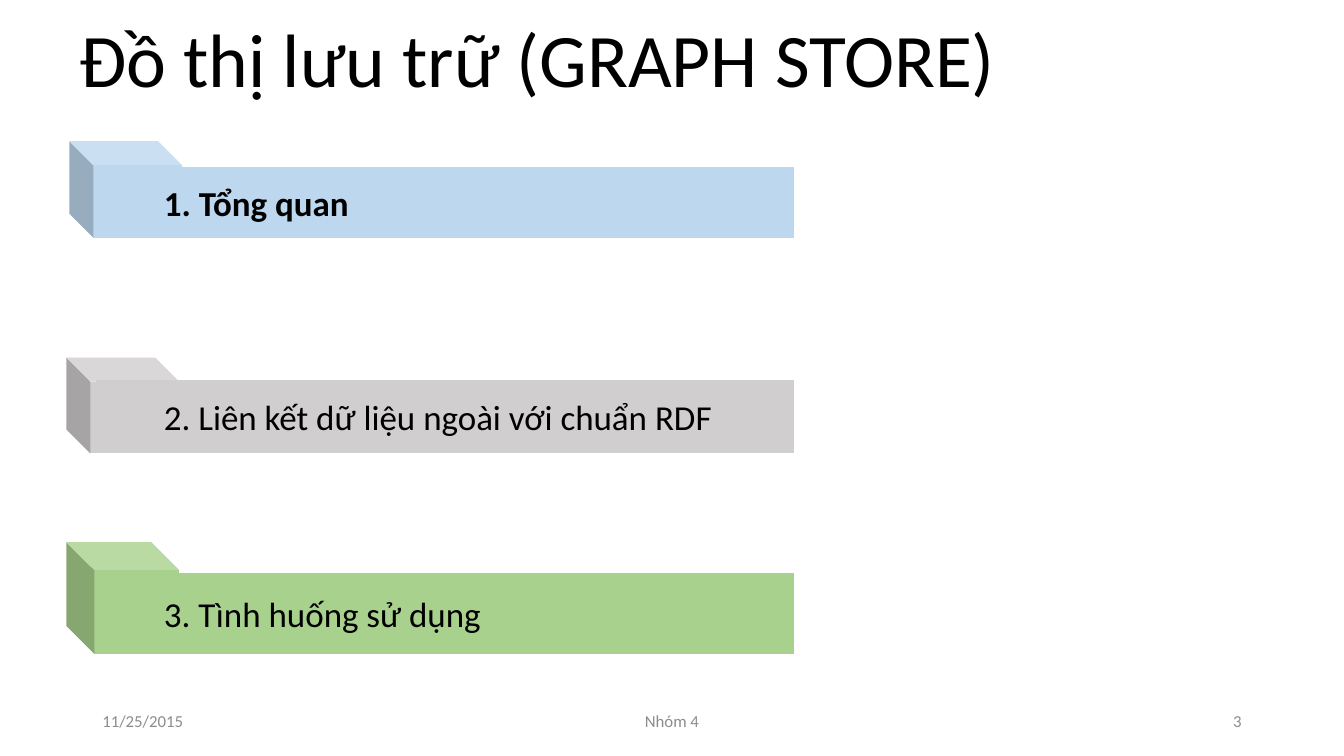
from dataclasses import dataclass

from pptx import Presentation
from pptx.dml.color import RGBColor
from pptx.enum.shapes import MSO_SHAPE as Preset
from pptx.enum.text import MSO_ANCHOR as Anchor, PP_ALIGN as Align
from pptx.util import Pt


@dataclass(frozen=True)
class Theme:
    font: str = "Calibri"
    text: str = "000000"
    footer: str = "8C8C8C"
    blue: str = "BDD7EE"
    gray: str = "D0CECE"
    green: str = "A9D18E"
    title_size: float = 54
    item_size: float = 25
    footer_size: float = 12


THEME = Theme()
BAR_LEFT, BAR_WIDTH = 68.4, 499
CUBE_WIDTH = 80.6


def write_text(shape, text, size, color, align=Align.LEFT, anchor=Anchor.MIDDLE, bold=False):
    frame = shape.text_frame
    frame.word_wrap = True
    frame.vertical_anchor = anchor
    paragraph = frame.paragraphs[0]
    paragraph.alignment = align
    run = paragraph.add_run()
    run.text = text
    run.font.name = THEME.font
    run.font.size = Pt(size)
    run.font.bold = bold
    run.font.color.rgb = RGBColor.from_string(color)
    return paragraph


def add_label(slide, box, text, size, color, align=Align.LEFT, anchor=Anchor.MIDDLE):
    shape = slide.shapes.add_textbox(*map(Pt, box))
    return write_text(shape, text, size, color, align, anchor)


def add_solid(slide, preset, box, color):
    shape = slide.shapes.add_shape(preset, *map(Pt, box))
    shape.shadow.inherit = False
    shape.fill.solid()
    shape.fill.fore_color.rgb = RGBColor.from_string(color)
    shape.line.fill.background()
    return shape


def add_item(slide, text, color, cube_left, cube_top, bar_top, bottom, bold=False):
    cube_box = (cube_left, cube_top, CUBE_WIDTH, bottom - cube_top)
    cube = add_solid(slide, Preset.CUBE, cube_box, color)
    cube.element.spPr.xfrm.set("flipH", "1")
    bar_box = (BAR_LEFT, bar_top, BAR_WIDTH, bottom - bar_top)
    bar = add_solid(slide, Preset.PARALLELOGRAM, bar_box, color)
    bar.adjustments[0] = 0
    write_text(bar, text, THEME.item_size, THEME.text, bold=bold)


def add_footer(slide, left, width, text, align):
    add_label(slide, (left, 500.5, width, 28.8), text, THEME.footer_size, THEME.footer, align)


def main():
    presentation = Presentation()
    presentation.slide_width = Pt(960)
    presentation.slide_height = Pt(540)
    slide = presentation.slides.add_slide(presentation.slide_layouts[6])

    title = add_label(slide, (49.7, 18, 794, 59.8), "Đồ thị lưu trữ (GRAPH STORE)",
                      THEME.title_size, THEME.text, anchor=Anchor.BOTTOM)
    title.line_spacing = 0.9

    add_item(slide, "1. Tổng quan", THEME.blue, 49.5, 100.8, 119.4, 169.9, bold=True)
    add_item(slide, "2. Liên kết dữ liệu ngoài với chuẩn RDF", THEME.gray, 47.4, 255.4, 271.4, 323.9)
    add_item(slide, "3. Tình huống sử dụng", THEME.green, 47.4, 387.2, 409.2, 467)

    add_footer(slide, 66, 216, "11/25/2015", Align.LEFT)
    add_footer(slide, 318, 324, "Nhóm 4", Align.CENTER)
    add_footer(slide, 678, 216, "3", Align.RIGHT)
    presentation.save("out.pptx")


if __name__ == "__main__":
    main()
